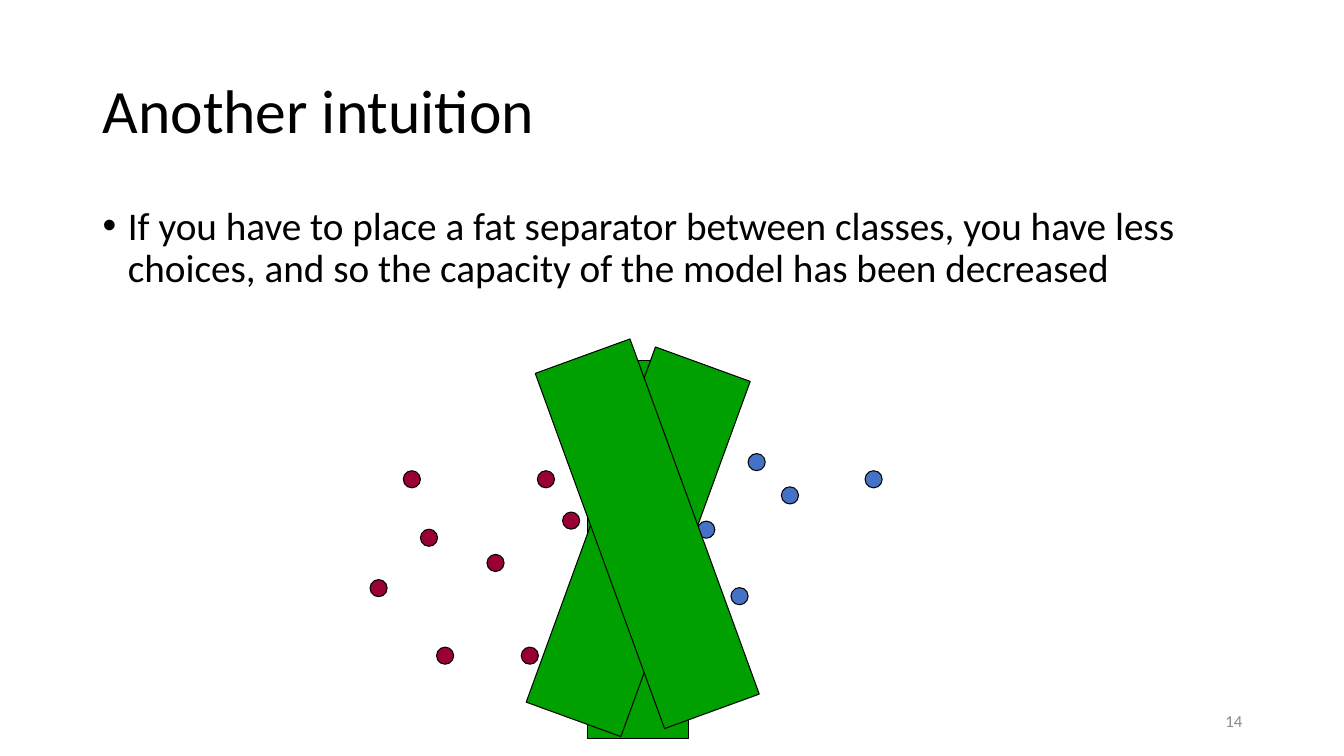
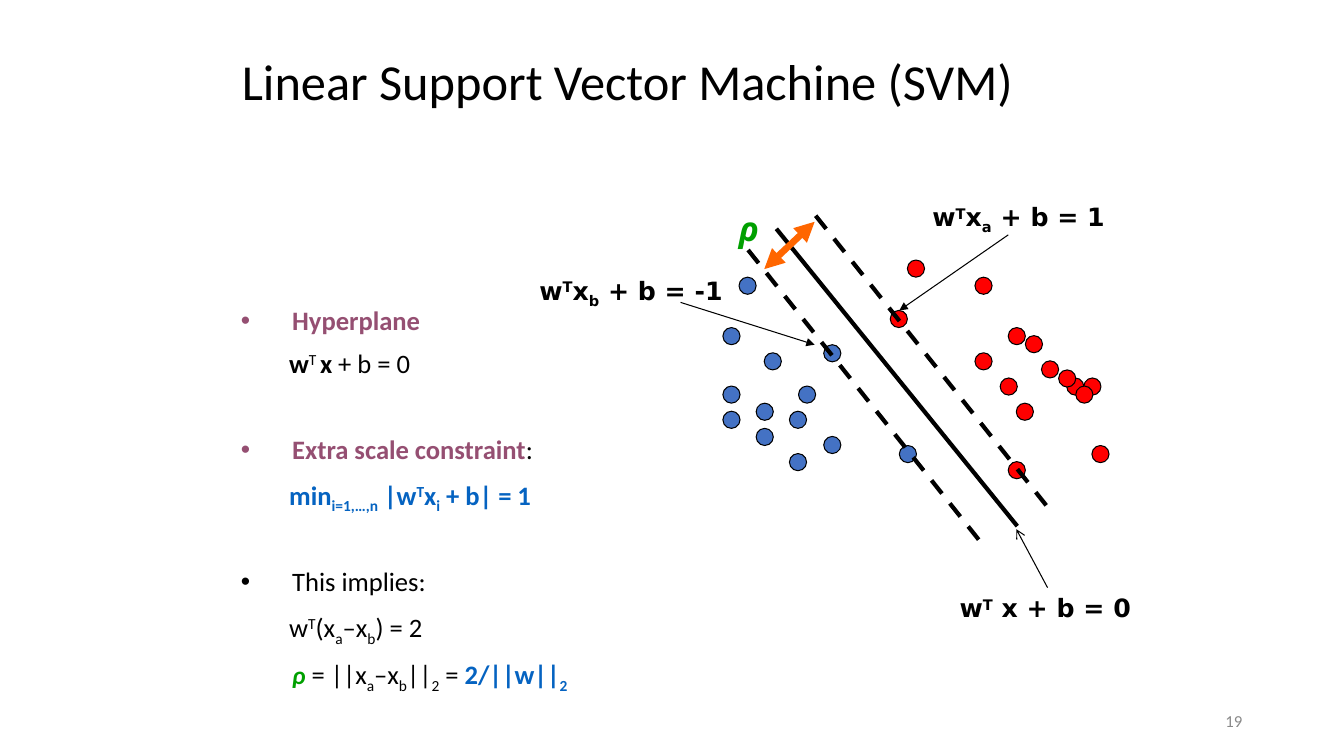
import pptx
import pptx.util
import pptx.dml.color
import pptx.enum.dml
import pptx.enum.shapes
import pptx.enum.text
import pptx.oxml
import pptx.oxml.ns
from pptx.util import Inches

COLORS = {
    "text": "000000",
    "number": "898989",
    "crimson": "990033",
    "red": "FF0000",
    "blue": "4472C4",
    "green": "00A000",
    "orange": "FF6600",
    "purple": "954F72",
    "formula": "0563C1",
}
BODY_FONT = "Calibri"
LABEL_FONT = "DejaVu Sans"
DOT_SIZE = 0.17
SUPER, SUB = 30, -25
TOP = pptx.enum.text.MSO_ANCHOR.TOP
MIDDLE = pptx.enum.text.MSO_ANCHOR.MIDDLE

STRONG = {"bold": True}
RHO = {"bold": True, "italic": True, "color": "green"}
FORMULA = {"bold": True, "color": "formula"}


def rgb(color):
    return pptx.dml.color.RGBColor.from_string(COLORS[color])


def set_font(font, size=None, name=None, color=None, bold=None, italic=None):
    if size:
        font.size = pptx.util.Pt(size)
    if name:
        font.name = name
    if color:
        font.color.rgb = rgb(color)
    if bold is not None:
        font.bold = bold
    if italic is not None:
        font.italic = italic


def add_spans(para, spans):
    for text, base, style in spans:
        span = para.add_run()
        span.text = text
        set_font(span.font, **style)
        if base:
            span.font._element.set("baseline", str(base * 1000))


def plain(text, **style):
    return [(text, 0, style)]


def set_indent(para, left, first, bullet=False):
    props = para._p.get_or_add_pPr()
    props.set("marL", str(Inches(left)))
    props.set("indent", str(Inches(first)))
    if bullet:
        for tag, name, value in (("buFont", "typeface", "Arial"), ("buChar", "char", "•")):
            mark = pptx.oxml.ns.qn(f"a:{tag}")
            props.append(props.makeelement(mark, {name: value}))


def add_box(page, left, top, width, height, anchor=TOP, wrap=True):
    box = page.shapes.add_textbox(Inches(left), Inches(top), Inches(width), Inches(height))
    frame = box.text_frame
    frame.word_wrap = wrap
    frame.vertical_anchor = anchor
    if not wrap:
        frame.auto_size = pptx.enum.text.MSO_AUTO_SIZE.SHAPE_TO_FIT_TEXT
    return frame


def add_title(page, text, size, *place):
    para = add_box(page, *place, anchor=MIDDLE).paragraphs[0]
    para.line_spacing = 0.9
    set_font(para.font, size, BODY_FONT, "text")
    add_spans(para, plain(text))


def add_number(page, number):
    para = add_box(page, 9.42, 6.95, 3, 0.4, anchor=MIDDLE).paragraphs[0]
    para.alignment = pptx.enum.text.PP_ALIGN.RIGHT
    set_font(para.font, 12, BODY_FONT, "number")
    add_spans(para, plain(str(number)))


def add_body(page, place, size, hanging, items):
    frame = add_box(page, *place)
    for index, (bullet, left, spans) in enumerate(items):
        para = frame.paragraphs[0] if index == 0 else frame.add_paragraph()
        set_indent(para, left, -hanging if bullet else 0, bullet)
        para.line_spacing = 0.9
        if index:
            para.space_before = pptx.util.Pt(41 if bullet else 10)
        set_font(para.font, size, BODY_FONT, "text")
        add_spans(para, spans)


def add_label(page, spans, left, top, width, height=0.4, size=18, name=LABEL_FONT, **style):
    para = add_box(page, left, top, width, height, wrap=False).paragraphs[0]
    set_font(para.font, size, name, **{"color": "text", "bold": True, **style})
    add_spans(para, spans)


def add_solid(page, kind, color, left, top, width, height, turn=0):
    shape = page.shapes.add_shape(
        kind, Inches(left), Inches(top), Inches(width), Inches(height))
    shape.rotation = turn
    shape.shadow.inherit = False
    shape.fill.solid()
    shape.fill.fore_color.rgb = rgb(color)
    shape.line.color.rgb = rgb("text")
    shape.line.width = pptx.util.Pt(0.75)


def add_dots(page, color, spots):
    for left, top in spots:
        add_solid(page, pptx.enum.shapes.MSO_SHAPE.OVAL, color, left, top, DOT_SIZE, DOT_SIZE)


def add_line(page, start, end, width=0.75, color="text", dashed=False, head=None, tail=None):
    line = page.shapes.add_connector(
        pptx.enum.shapes.MSO_CONNECTOR.STRAIGHT, *map(Inches, start + end))
    line.line.width = pptx.util.Pt(width)
    line.line.color.rgb = rgb(color)
    if dashed:
        line.line.dash_style = pptx.enum.dml.MSO_LINE.DASH
    outline = line.line._get_or_add_ln()
    for tag, kind in (("headEnd", head), ("tailEnd", tail)):
        if kind:
            outline.append(outline.makeelement(pptx.oxml.ns.qn(f"a:{tag}"), {"type": kind}))
    props = line._element.spPr
    props.append(props.makeelement(pptx.oxml.ns.qn("a:effectLst"), {}))


def add_page(deck, number):
    page = deck.slides.add_slide(deck.slide_layouts[6])
    add_number(page, number)
    return page


def build_intuition(deck):
    page = add_page(deck, 14)
    add_title(page, "Another intuition", 44, 0.92, 0.4, 11.5, 1.45)
    add_body(page, (0.92, 2, 11.5, 4.76), 28, 0.25, [
        (True, 0.25, plain(
            "If you have to place a fat separator between classes, you have less "
            "choices, and so the capacity of the model has been decreased")),
    ])
    add_dots(page, "crimson", [
        (4, 4.67), (4.17, 5.25), (4.33, 6.42), (5.33, 4.67),
        (3.67, 5.75), (4.83, 5.5), (5.58, 5.08), (5.17, 6.42)])
    add_dots(page, "blue", [
        (6.92, 5.17), (7.25, 5.83), (7.42, 4.5), (8.58, 4.67), (7.75, 4.83)])
    for left, top, turn in ((5.83, 3.58, 0), (5.83, 3.5, 20), (5.92, 3.42, 340)):
        add_solid(page, pptx.enum.shapes.MSO_SHAPE.RECTANGLE, "green", left, top, 1, 3.75, turn)


def build_machine(deck):
    page = add_page(deck, 19)
    add_title(page, "Linear Support Vector Machine (SVM)", 36, 2.3, 0.17, 9.2, 1.33)
    add_body(page, (2.29, 3, 7.71, 3.92), 19, 0.51, [
        (True, 0.51, plain("Hyperplane", bold=True, color="purple")),
        (False, 0.48, [
            ("w", 0, STRONG), ("T ", SUPER, {}), ("x", 0, STRONG), (" + b = 0", 0, {})]),
        (True, 0.51, [
            ("Extra scale constraint", 0, {"bold": True, "color": "purple"}), (":", 0, {})]),
        (False, 0.48, [
            ("min", 0, FORMULA), ("i=1,…,n", SUB, FORMULA), (" |w", 0, FORMULA),
            ("T", SUPER, FORMULA), ("x", 0, FORMULA), ("i", SUB, FORMULA),
            (" + b| = 1", 0, FORMULA)]),
        (True, 0.51, plain("This implies:")),
        (False, 0.48, [
            ("w", 0, {}), ("T", SUPER, {}), ("(x", 0, {}), ("a", SUB, {}),
            ("–x", 0, {}), ("b", SUB, {}), (") = 2", 0, {})]),
        (False, 0.51, [
            ("ρ", 0, {"size": 18, **RHO}), (" = ||x", 0, {}), ("a", SUB, {}),
            ("–x", 0, {}), ("b", SUB, {}), ("||", 0, {}), ("2", SUB, {}),
            (" = ", 0, {}), ("2/||w||", 0, FORMULA), ("2", SUB, FORMULA)]),
    ])

    add_dots(page, "blue", [
        (7.33, 2.75), (7.17, 3.83), (7.58, 3.5), (7.17, 4.08), (7.5, 4.25),
        (7.83, 4.08), (8.17, 4.33), (7.5, 4), (7.17, 3.25), (8.17, 3.42),
        (8.92, 4.42), (7.92, 3.83), (7.83, 4.5)])
    add_dots(page, "red", [
        (9, 2.58), (9.67, 2.75), (10, 3.25), (8.83, 3.08), (10.33, 3.58),
        (10.58, 3.75), (10.08, 4), (10.75, 3.75), (10.83, 4.42), (10, 4.58),
        (9.67, 3.5), (10.17, 3.33), (9.92, 3.75), (10.5, 3.67), (10.67, 3.83)])

    add_line(page, (7.7, 2.27), (10.09, 5.22), 3)
    for left, top in ((7.42, 2.48), (8.09, 2.14)):
        add_line(page, (left, top), (left + 2.3, top + 2.89), 3, dashed=True)

    w_transposed = [("w", 0, {}), ("T", SUPER, {})]
    add_label(page, w_transposed + plain(" x + b = 0"), 9.42, 5.83, 1.94)
    for vector, result, left, top, width in (
            ("a", "1", 9.15, 1.95, 1.97), ("b", "-1", 5.25, 2.68, 2.09)):
        spans = w_transposed + [("x", 0, {}), (vector, SUB, {}), (f" + b = {result}", 0, {})]
        add_label(page, spans, left, top, width)

    add_line(page, (10, 2.33), (8.92, 3.08), tail="triangle")
    add_line(page, (6.75, 3), (8.08, 3.42), tail="triangle")
    add_line(page, (10.39, 5.83), (10.08, 5.25), tail="arrow")
    add_line(page, (7.58, 2.67), (8.08, 2.2), 4.75, "orange", head="triangle", tail="triangle")
    add_label(page, plain("ρ"), 7.23, 2.01, 0.38, 0.5, 24, "Noto Sans", **RHO)


def main():
    deck = pptx.Presentation()
    deck.slide_width, deck.slide_height = Inches(13.33), Inches(7.5)
    build_intuition(deck)
    build_machine(deck)
    deck.save("out.pptx")


if __name__ == "__main__":
    main()
